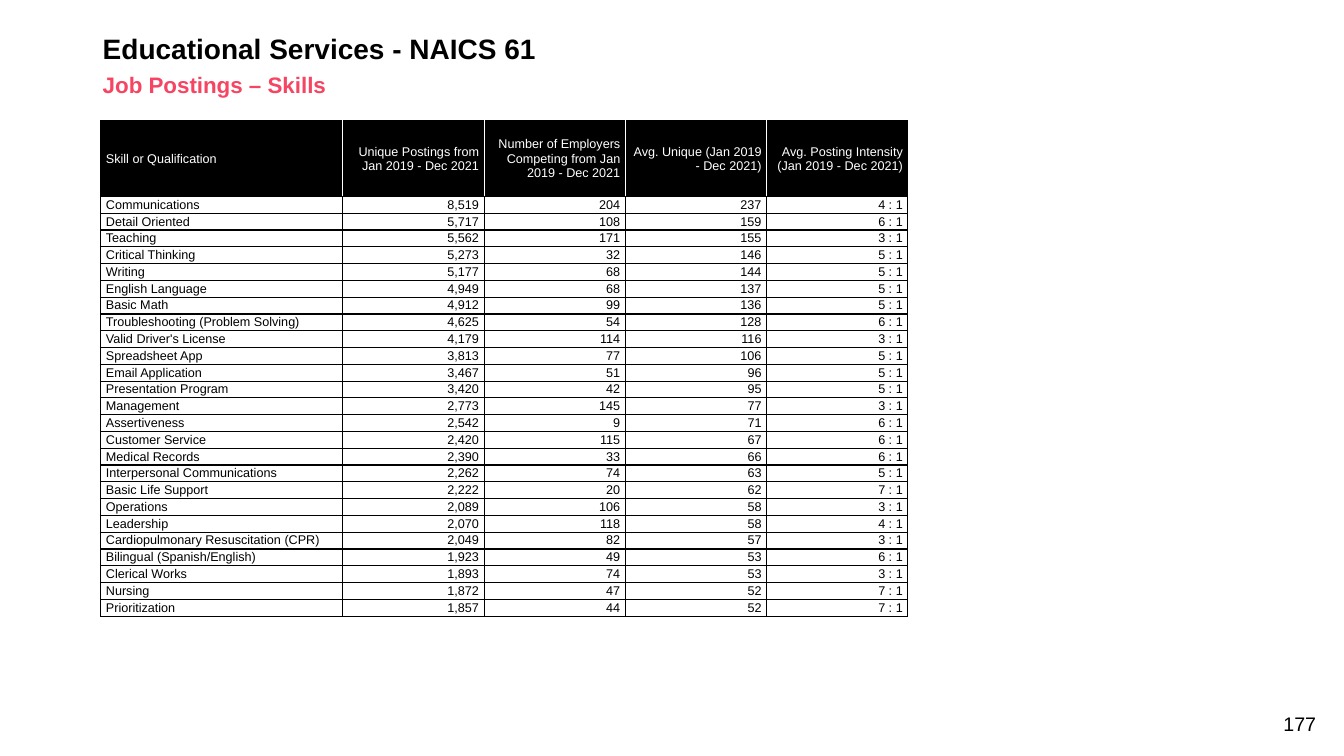
import lxml.etree
import pptx
import pptx.dml.color
import pptx.enum.text
import pptx.oxml.ns
import pptx.util

Cm = pptx.util.Cm
Pt = pptx.util.Pt
PP_ALIGN = pptx.enum.text.PP_ALIGN
MSO_ANCHOR = pptx.enum.text.MSO_ANCHOR

BLACK = pptx.dml.color.RGBColor(0x00, 0x00, 0x00)
WHITE = pptx.dml.color.RGBColor(0xFF, 0xFF, 0xFF)
CORAL = pptx.dml.color.RGBColor(0xF5, 0x45, 0x62)

# Table content
HEADER = (
    "Skill or Qualification",
    "Unique Postings from Jan 2019 - Dec 2021",
    "Number of Employers Competing from Jan 2019 - Dec 2021",
    "Avg. Unique (Jan 2019 - Dec 2021)",
    "Avg. Posting Intensity (Jan 2019 - Dec 2021)",
)
SKILLS = [
    ("Communications", "8,519", "204", "237", "4 : 1"),
    ("Detail Oriented", "5,717", "108", "159", "6 : 1"),
    ("Teaching", "5,562", "171", "155", "3 : 1"),
    ("Critical Thinking", "5,273", "32", "146", "5 : 1"),
    ("Writing", "5,177", "68", "144", "5 : 1"),
    ("English Language", "4,949", "68", "137", "5 : 1"),
    ("Basic Math", "4,912", "99", "136", "5 : 1"),
    ("Troubleshooting (Problem Solving)", "4,625", "54", "128", "6 : 1"),
    ("Valid Driver's License", "4,179", "114", "116", "3 : 1"),
    ("Spreadsheet App", "3,813", "77", "106", "5 : 1"),
    ("Email Application", "3,467", "51", "96", "5 : 1"),
    ("Presentation Program", "3,420", "42", "95", "5 : 1"),
    ("Management", "2,773", "145", "77", "3 : 1"),
    ("Assertiveness", "2,542", "9", "71", "6 : 1"),
    ("Customer Service", "2,420", "115", "67", "6 : 1"),
    ("Medical Records", "2,390", "33", "66", "6 : 1"),
    ("Interpersonal Communications", "2,262", "74", "63", "5 : 1"),
    ("Basic Life Support", "2,222", "20", "62", "7 : 1"),
    ("Operations", "2,089", "106", "58", "3 : 1"),
    ("Leadership", "2,070", "118", "58", "4 : 1"),
    ("Cardiopulmonary Resuscitation (CPR)", "2,049", "82", "57", "3 : 1"),
    ("Bilingual (Spanish/English)", "1,923", "49", "53", "6 : 1"),
    ("Clerical Works", "1,893", "74", "53", "3 : 1"),
    ("Nursing", "1,872", "47", "52", "7 : 1"),
    ("Prioritization", "1,857", "44", "52", "7 : 1"),
]
COLUMN_WIDTHS = (6.1, 3.56, 3.56, 3.56, 3.56)
HEADER_HEIGHT = 1.9
BODY_HEIGHT = 10.18


def apply(obj, values):
    for name, value in values.items():
        setattr(obj, name, value)


class SlideBuilder:
    font_name = "Arial"
    cell_format = {
        "margin_left": Cm(0.13), "margin_right": Cm(0.13),
        "margin_top": Cm(0.02), "margin_bottom": Cm(0.02),
        "vertical_anchor": MSO_ANCHOR.MIDDLE,
    }

    def __init__(self, slide):
        self.s = slide

    def fill_text(self, tf, text, size, color, bold=False, **paragraph):
        p = tf.paragraphs[0]
        apply(p, paragraph)
        r = p.add_run()
        r.text = text
        apply(r.font, {"name": self.font_name, "size": Pt(size), "bold": bold})
        r.font.color.rgb = color

    def text(self, box, text, size, color, anchor=MSO_ANCHOR.MIDDLE, **style):
        sp = self.s.shapes.add_textbox(*map(Cm, box))
        tf = sp.text_frame
        apply(tf, {"word_wrap": True, "vertical_anchor": anchor})
        self.fill_text(tf, text, size, color, **style)

    def borders(self, cell, colors):
        tc_pr = cell._tc.get_or_add_tcPr()
        qn = pptx.oxml.ns.qn
        for i, (side, color) in enumerate(zip("LRTB", colors)):
            ln = lxml.etree.Element(qn(f"a:ln{side}"), w=str(Pt(1)))
            fill = lxml.etree.SubElement(ln, qn("a:solidFill"))
            lxml.etree.SubElement(fill, qn("a:srgbClr"), val=str(color))
            tc_pr.insert(i, ln)

    def table(self, left, top, widths, heights, rows):
        frame = self.s.shapes.add_table(
            len(rows), len(widths), Cm(left), Cm(top),
            Cm(sum(widths)), Cm(sum(heights)))
        tbl = frame.table
        apply(tbl, {"first_row": False, "horz_banding": False})
        for column, width in zip(tbl.columns, widths):
            column.width = Cm(width)
        for row, height in zip(tbl.rows, heights):
            row.height = Cm(height)
        last = len(widths) - 1
        for i, values in enumerate(rows):
            for j, value in enumerate(values):
                cell = tbl.cell(i, j)
                apply(cell, self.cell_format)
                is_header = i == 0
                if is_header:
                    cell.fill.solid()
                    cell.fill.fore_color.rgb = BLACK
                else:
                    cell.fill.background()
                # White dividers between header cells, black lines elsewhere
                self.borders(cell, (
                    WHITE if is_header and j > 0 else BLACK,
                    WHITE if is_header and j < last else BLACK,
                    BLACK, BLACK))
                self.fill_text(cell.text_frame, value, 9,
                               WHITE if is_header else BLACK,
                               alignment=PP_ALIGN.RIGHT if j else PP_ALIGN.LEFT)


def main():
    prs = pptx.Presentation()
    prs.slide_width, prs.slide_height = Cm(33.87), Cm(19.05)
    slide = SlideBuilder(prs.slides.add_slide(prs.slide_layouts[6]))

    # Page number
    slide.text((31.39, 17.81, 2.03, 0.86), "177", 14, BLACK,
               anchor=MSO_ANCHOR.BOTTOM, alignment=PP_ALIGN.RIGHT)

    # Title and subtitle
    slide.text((2.34, 0.76, 29.21, 1.02), "Educational Services - NAICS 61",
               20, BLACK, bold=True, line_spacing=0.9)
    slide.text((2.34, 1.8, 29.21, 0.76), "Job Postings – Skills",
               16, CORAL, bold=True, line_spacing=0.9)

    # Skills table
    row_height = BODY_HEIGHT / len(SKILLS)
    heights = [HEADER_HEIGHT] + [row_height] * len(SKILLS)
    slide.table(2.54, 3.05, COLUMN_WIDTHS, heights, [HEADER] + SKILLS)

    prs.save("out.pptx")


if __name__ == "__main__":
    main()
